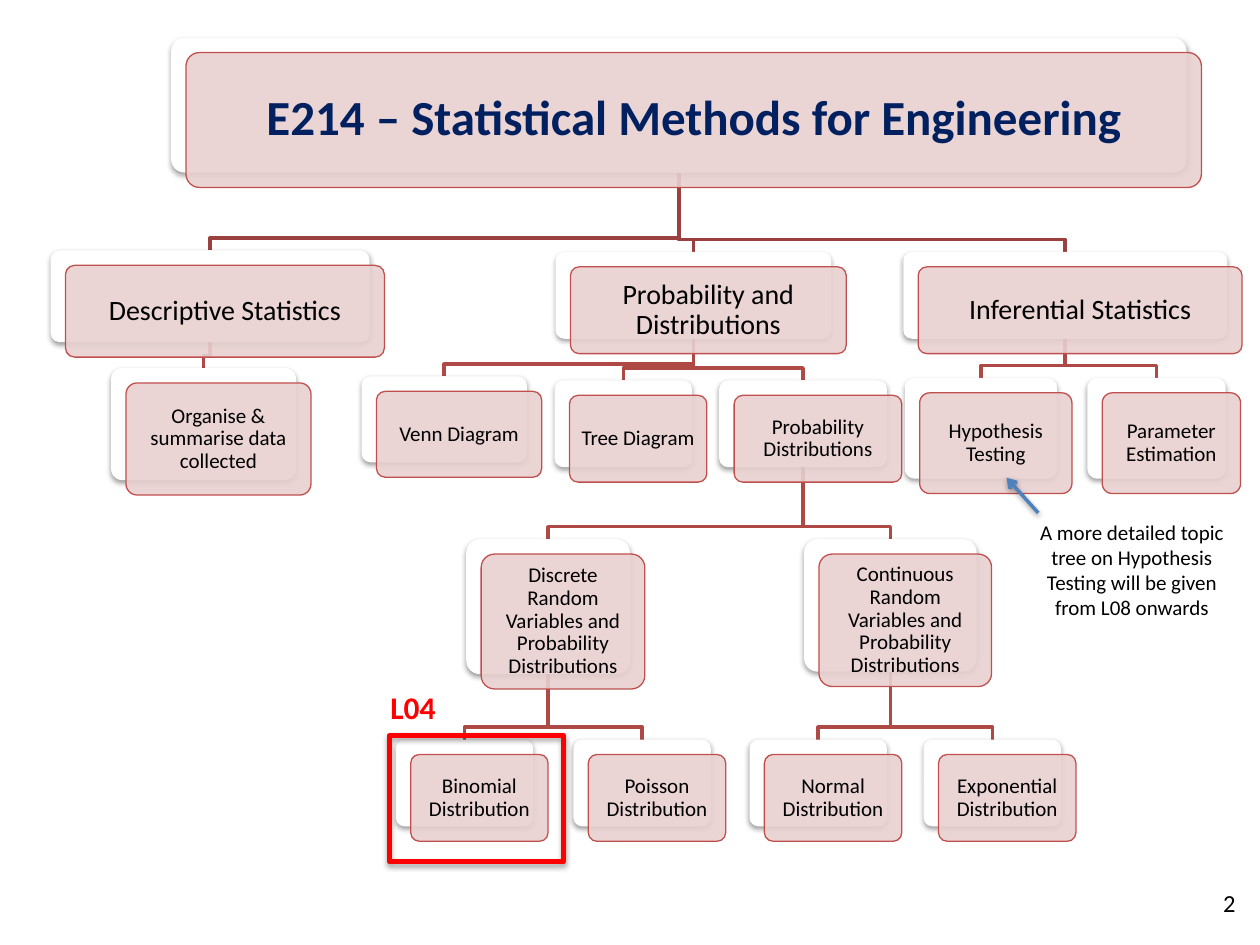
from dataclasses import dataclass
from typing import Optional

import pptx
import pptx.dml.color
import pptx.enum.shapes
import pptx.enum.text
import pptx.oxml
import pptx.oxml.ns
import pptx.util
from pptx.util import Cm

SHAPE = pptx.enum.shapes.MSO_SHAPE
ALIGN = pptx.enum.text.PP_ALIGN
ANCHOR = pptx.enum.text.MSO_ANCHOR
NAMESPACE = pptx.oxml.ns.nsdecls("a")

FONT = "Calibri"
BLACK, WHITE, RED, NAVY = "000000", "FFFFFF", "FF0000", "002060"
CARD_FILL, CARD_LINE = "E8D0D0", "C0504D"
TOP_LINK, LOWER_LINK = "9A403E", "AE4946"
ARROW_BLUE = "4F81BD"
CARD_OFFSET = 0.3
LINK_DROP = 0.25
MARGINS = {28: 0.3, 16: 0.18, 12: 0.13}


@dataclass(frozen=True)
class Card:
    """A topic; its place in cm is that of the white card at the back."""
    text: str
    left: float
    top: float
    width: float
    height: float
    parent: Optional["Card"] = None
    size: int = 12

    @property
    def middle(self) -> float:
        return self.left + self.width / 2


def color(value: str) -> pptx.dml.color.RGBColor:
    return pptx.dml.color.RGBColor.from_string(value)


def set_line(shape, value: str, width: float) -> None:
    shape.line.color.rgb = color(value)
    shape.line.width = pptx.util.Pt(width)


def add_shadow(shape, alpha: int = 38, distance: int = 20000) -> None:
    properties = shape._element.spPr
    for effects in properties.findall(pptx.oxml.ns.qn("a:effectLst")):
        properties.remove(effects)
    properties.append(pptx.oxml.parse_xml(
        f'<a:effectLst {NAMESPACE}><a:outerShdw blurRad="40000" dist="{distance}" '
        f'dir="5400000" rotWithShape="0"><a:srgbClr val="{BLACK}">'
        f'<a:alpha val="{alpha * 1000}"/></a:srgbClr></a:outerShdw></a:effectLst>'))


def write(shape, text: str, size: int, value: str = BLACK, bold: bool = False,
          align=ALIGN.CENTER) -> None:
    shape.text_frame.word_wrap = True
    para = shape.text_frame.paragraphs[0]
    para.text = text
    para.alignment = align
    para.font.name = FONT
    para.font.size = pptx.util.Pt(size)
    para.font.bold = bold
    para.font.color.rgb = color(value)


def add_label(page, text: str, left: float, top: float, width: float, height: float,
              size: int, **style) -> None:
    box = page.shapes.add_textbox(Cm(left), Cm(top), Cm(width), Cm(height))
    write(box, text, size, **style)


def add_link(page, card: Card) -> None:
    """Draw the bent line from the parent's bottom to the card's top."""
    parent = card.parent
    bend = card.top - LINK_DROP
    builder = page.shapes.build_freeform(Cm(parent.middle), Cm(parent.top + parent.height))
    builder.add_line_segments(
        [(Cm(parent.middle), Cm(bend)), (Cm(card.middle), Cm(bend)),
         (Cm(card.middle), Cm(card.top))], close=False)
    link = builder.convert_to_shape()
    link.fill.background()
    link.shadow.inherit = False
    set_line(link, LOWER_LINK if parent.parent else TOP_LINK, 2)


def add_rounded(page, card: Card, offset: float, fill: str):
    shape = page.shapes.add_shape(
        SHAPE.ROUNDED_RECTANGLE, Cm(card.left + offset), Cm(card.top + offset),
        Cm(card.width), Cm(card.height))
    shape.adjustments[0] = 0.1
    shape.shadow.inherit = False
    shape.fill.solid()
    shape.fill.fore_color.rgb = color(fill)
    return shape


def add_card(page, card: Card) -> None:
    back = add_rounded(page, card, 0, WHITE)
    back.line.fill.background()
    add_shadow(back)

    front = add_rounded(page, card, CARD_OFFSET, CARD_FILL)
    set_line(front, CARD_LINE, 0.75)
    fill = front._element.spPr.find(pptx.oxml.ns.qn("a:solidFill"))
    fill[0].append(pptx.oxml.parse_xml(f'<a:alpha {NAMESPACE} val="90000"/>'))

    frame = front.text_frame
    frame.margin_left = frame.margin_right = Cm(MARGINS[card.size])
    frame.margin_top = frame.margin_bottom = Cm(MARGINS[card.size])
    frame.vertical_anchor = ANCHOR.MIDDLE
    is_title = card.parent is None
    write(front, card.text, card.size, NAVY if is_title else BLACK, is_title)
    frame.paragraphs[0].line_spacing = 0.9


def add_arrow(page) -> None:
    arrow = page.shapes.add_connector(
        pptx.enum.shapes.MSO_CONNECTOR.STRAIGHT, Cm(20.93), Cm(10.34), Cm(20.29), Cm(9.63))
    set_line(arrow, ARROW_BLUE, 2)
    arrow.line._get_or_add_ln().append(
        pptx.oxml.parse_xml(f'<a:tailEnd {NAMESPACE} type="arrow"/>'))
    add_shadow(arrow)


def add_highlight(page) -> None:
    frame = page.shapes.add_shape(SHAPE.RECTANGLE, Cm(7.85), Cm(14.83), Cm(3.51), Cm(2.54))
    frame.fill.background()
    set_line(frame, RED, 3)
    add_shadow(frame, 35, 23000)


def topic_cards() -> list[Card]:
    course = Card("E214 – Statistical Methods for Engineering", 3.45, 0.76, 20.47, 2.72, size=28)
    probability = Card("Probability and Distributions", 11.2, 5.08, 5.56, 1.75, course, 16)
    descriptive = Card("Descriptive Statistics", 1.02, 5.05, 6.43, 1.85, course, 16)
    inferential = Card("Inferential Statistics", 18.21, 5.08, 6.53, 1.75, course, 16)
    distributions = Card("Probability Distributions", 14.5, 7.67, 3.38, 1.75, probability)
    discrete = Card("Discrete Random Variables and Probability Distributions",
                    9.4, 10.87, 3.3, 2.72, distributions)
    continuous = Card("Continuous Random Variables and Probability Distributions",
                      16.21, 10.87, 3.48, 2.67, distributions)
    leaves = [("Binomial", 7.98, discrete), ("Poisson", 11.56, discrete),
              ("Normal", 15.11, continuous), ("Exponential", 18.62, continuous)]
    return [
        course, probability,
        Card("Venn Diagram", 7.29, 7.59, 3.33, 1.73, probability),
        distributions, discrete, continuous,
        *(Card(f"{name} Distribution", left, 14.91, 2.77, 1.75, parent)
          for name, left, parent in leaves),
        Card("Tree Diagram", 11.18, 7.67, 2.77, 1.75, probability),
        descriptive,
        Card("Organise & summarise data collected", 2.24, 7.42, 3.73, 2.26, descriptive),
        inferential,
        Card("Hypothesis Testing", 18.24, 7.62, 3.07, 2.03, inferential),
        Card("Parameter Estimation", 21.92, 7.62, 2.79, 2.03, inferential),
    ]


def main() -> None:
    deck = pptx.Presentation()
    deck.slide_width, deck.slide_height = Cm(25.4), Cm(19.05)
    page = deck.slides.add_slide(deck.slide_layouts[6])

    cards = topic_cards()
    for card in cards:
        if card.parent:
            add_link(page, card)
    for card in cards:
        add_card(page, card)

    add_label(page, "A more detailed topic tree on Hypothesis Testing will be given "
              "from L08 onwards", 20.57, 10.34, 4.5, 2.31, 12)
    add_arrow(page)
    add_label(page, "L04", 7.62, 13.74, 1.7, 1.02, 18, value=RED, bold=True, align=ALIGN.LEFT)
    add_highlight(page)
    add_label(page, "2", 24.41, 17.78, 0.99, 1.27, 14, align=ALIGN.LEFT)
    deck.save("out.pptx")


if __name__ == "__main__":
    main()
